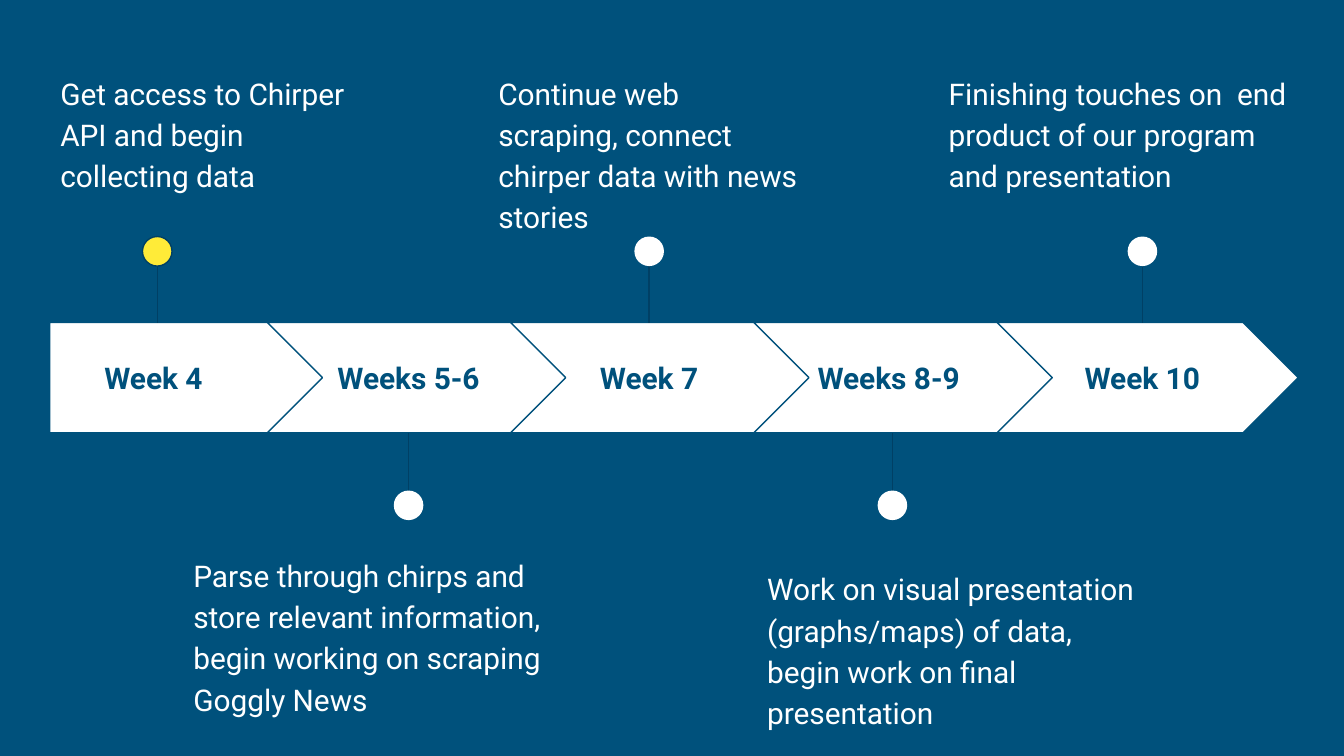
from dataclasses import dataclass

from lxml import etree
from pptx import Presentation
from pptx.dml.color import RGBColor
from pptx.enum.shapes import MSO_CONNECTOR, MSO_SHAPE
from pptx.enum.text import MSO_ANCHOR, PP_ALIGN
from pptx.oxml.ns import qn
from pptx.util import Inches, Pt

PENTAGON, CHEVRON, OVAL = MSO_SHAPE.PENTAGON, MSO_SHAPE.CHEVRON, MSO_SHAPE.OVAL
STRAIGHT = MSO_CONNECTOR.STRAIGHT
TOP, MIDDLE = MSO_ANCHOR.TOP, MSO_ANCHOR.MIDDLE
LEFT, CENTER = PP_ALIGN.LEFT, PP_ALIGN.CENTER

BLUE = RGBColor(0x00, 0x51, 0x7C)
DARK_BLUE = RGBColor(0x00, 0x40, 0x65)
WHITE = RGBColor(0xFF, 0xFF, 0xFF)
YELLOW = RGBColor(0xFF, 0xEB, 0x38)

SLIDE_WIDTH = Inches(10)
SLIDE_HEIGHT = SLIDE_WIDTH * 9 // 16
BAND_TOP, BAND_HEIGHT = 2.4, 0.82
BAND_BOTTOM = BAND_TOP + BAND_HEIGHT
FIRST_LEFT, FIRST_WIDTH = 0.37, 2.05
CHEVRON_LEFT, CHEVRON_WIDTH, CHEVRON_STEP = 1.99, 2.24, 1.81
LABEL_WIDTH, LABEL_HEIGHT = 1.44, 0.51
NOTE_HEIGHT = 0.99
DOT = 0.22
DOT_ABOVE, DOT_BELOW = 1.87, 3.76

# week, pin x, pin is above, note left, note top, note width, note
STEPS = [
    ("Week 4 ", 1.17, True, 0.35, 0.42, 2.45,
     "Get access to Chirper API and begin collecting data"),
    ("Weeks 5-6", 3.04, False, 1.34, 4.01, 3.01,
     "Parse through chirps and store relevant information, "
     "begin working on scraping Goggly News"),
    ("Week 7", 4.83, True, 3.61, 0.42, 2.45,
     "Continue web scraping, connect chirper data with news stories"),
    ("Weeks 8-9 ", 6.64, False, 5.61, 4.11, 3.0,
     "Work on visual presentation (graphs/maps) of data, "
     "begin work on final presentation"),
    ("Week 10", 8.5, True, 6.96, 0.42, 2.81,
     "Finishing touches on  end product of our program and presentation"),
]


@dataclass
class Timeline:
    slide: object
    font: str = "Roboto"
    size: float = 16
    line_width: float = 0.75

    def shape(self, kind, left, top, width, height, fill, outline=None):
        shape = self.slide.shapes.add_shape(
            kind, Inches(left), Inches(top), Inches(width), Inches(height))
        shape.shadow.inherit = False
        shape.fill.solid()
        shape.fill.fore_color.rgb = fill
        if outline is None:
            shape.line.fill.background()
        else:
            shape.line.color.rgb = outline
            shape.line.width = Pt(self.line_width)

    def stem(self, x, start, end):
        stem = self.slide.shapes.add_connector(
            STRAIGHT, Inches(x), Inches(start), Inches(x), Inches(end))
        stem.line.color.rgb = DARK_BLUE
        stem.line.width = Pt(self.line_width)
        etree.SubElement(stem._element.spPr, qn("a:effectLst"))

    def text(self, words, left, top, width, height, *, color=WHITE, bold=False,
             align=LEFT, anchor=TOP, spacing=1.0, after=0):
        box = self.slide.shapes.add_textbox(
            Inches(left), Inches(top), Inches(width), Inches(height))
        frame = box.text_frame
        frame.word_wrap = True
        frame.vertical_anchor = anchor
        frame.margin_left = frame.margin_right = Inches(0.1)
        frame.margin_top = frame.margin_bottom = Inches(0.1)
        paragraph = frame.paragraphs[0]
        paragraph.alignment = align
        paragraph.line_spacing = spacing
        paragraph.space_after = Pt(after)
        run = paragraph.add_run()
        run.text = words
        run.font.name = self.font
        run.font.size = Pt(self.size)
        run.font.bold = bold
        run.font.color.rgb = color

    def arrow(self, index):
        if index == 0:
            kind, left, width = PENTAGON, FIRST_LEFT, FIRST_WIDTH
        else:
            kind, width = CHEVRON, CHEVRON_WIDTH
            left = CHEVRON_LEFT + (index - 1) * CHEVRON_STEP
        self.shape(kind, left, BAND_TOP, width, BAND_HEIGHT, WHITE, BLUE)

    def pin(self, x, above, current):
        """Draw a dot joined to the band, yellow for the current step."""
        dot_y, band_y = (DOT_ABOVE, BAND_TOP) if above else (DOT_BELOW, BAND_BOTTOM)
        self.stem(x, dot_y, band_y)
        fill, outline = (YELLOW, DARK_BLUE) if current else (WHITE, None)
        self.shape(OVAL, x - DOT / 2, dot_y - DOT / 2, DOT, DOT, fill, outline)


def main():
    deck = Presentation()
    deck.slide_width, deck.slide_height = SLIDE_WIDTH, SLIDE_HEIGHT
    slide = deck.slides.add_slide(deck.slide_layouts[6])
    slide.background.fill.solid()
    slide.background.fill.fore_color.rgb = BLUE

    timeline = Timeline(slide)
    label_top = BAND_TOP + (BAND_HEIGHT - LABEL_HEIGHT) / 2
    for index, (week, x, above, left, top, width, note) in enumerate(STEPS):
        timeline.arrow(index)
        timeline.text(week, x - LABEL_WIDTH / 2, label_top, LABEL_WIDTH, LABEL_HEIGHT,
                      color=BLUE, bold=True, align=CENTER, anchor=MIDDLE)
        timeline.pin(x, above, current=index == 0)
        timeline.text(note, left, top, width, NOTE_HEIGHT, spacing=1.15, after=16)

    deck.save("out.pptx")


if __name__ == "__main__":
    main()
